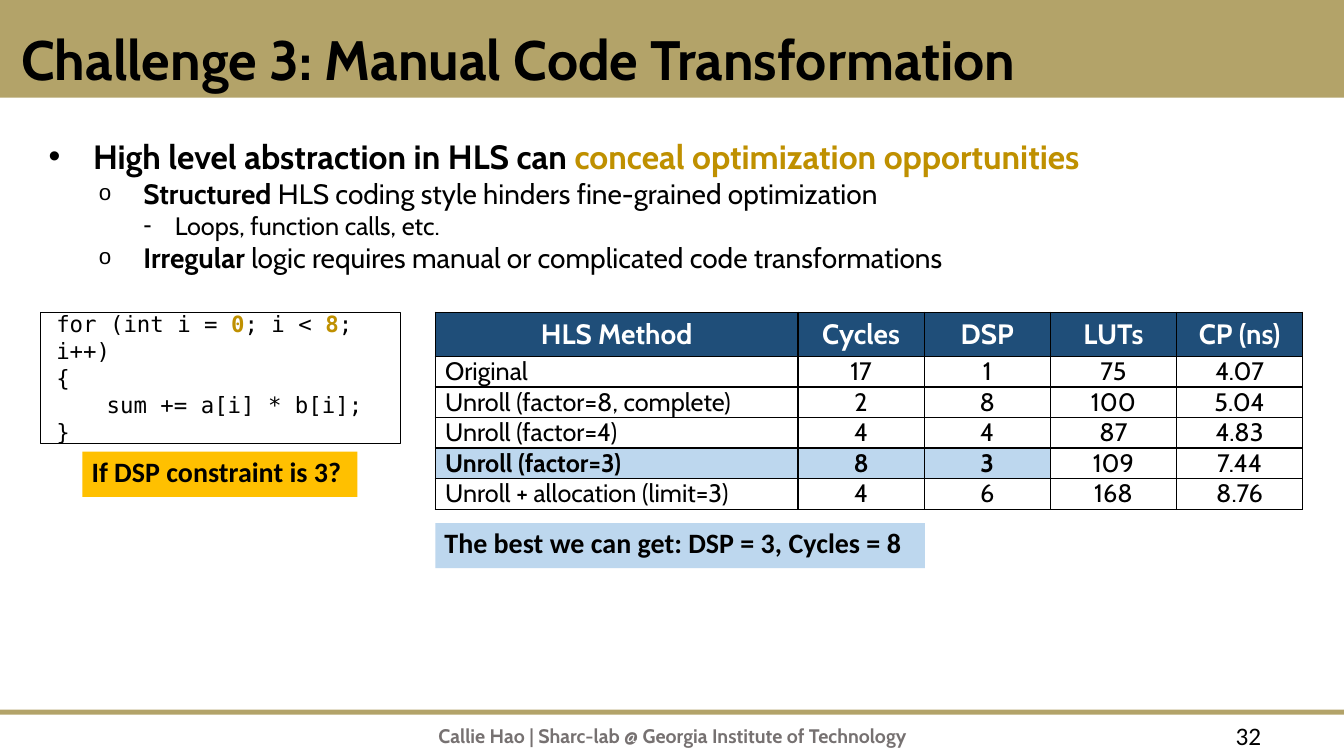
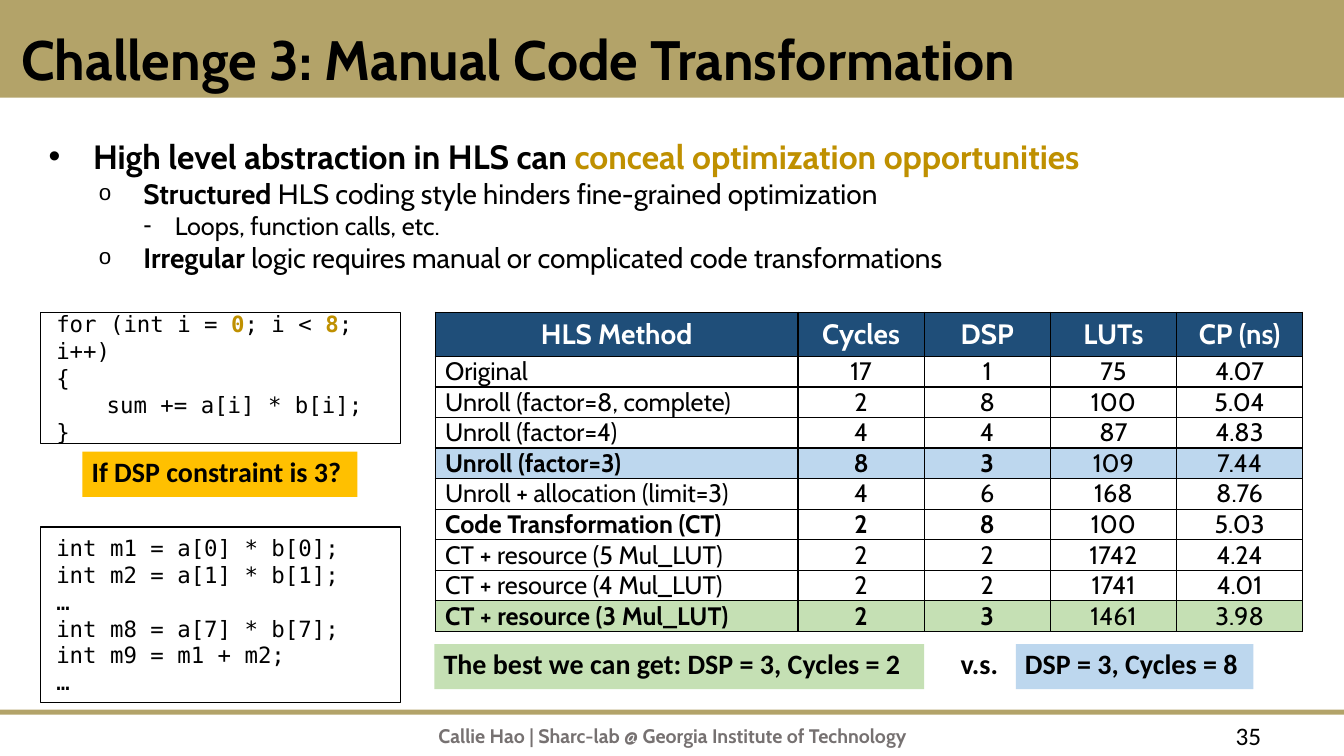
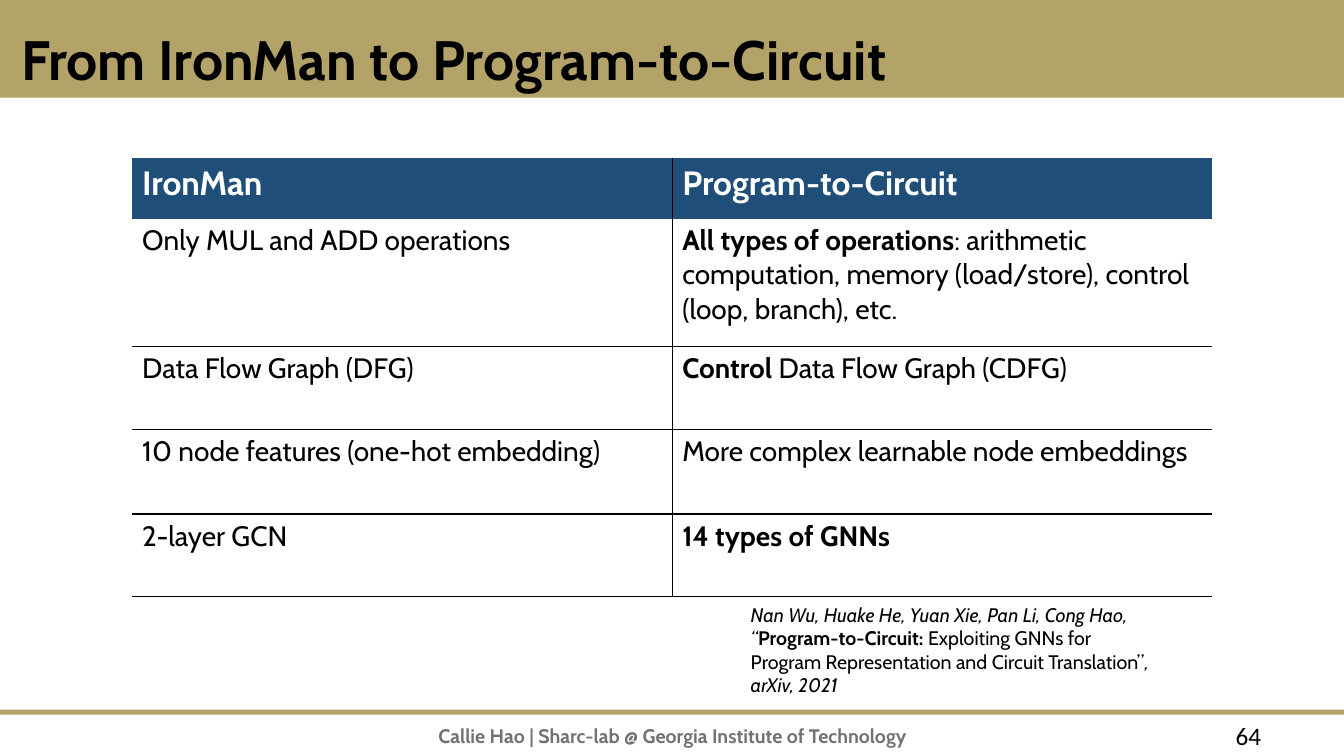
from lxml import etree
from pptx import Presentation
from pptx.dml.color import RGBColor
from pptx.enum import shapes, text
from pptx.oxml import ns
from pptx.util import Cm, Pt

GOLD = RGBColor(0xB3, 0xA3, 0x69)
DARK = RGBColor(0xBF, 0x90, 0x00)
AMBER = RGBColor(0xFF, 0xC0, 0x00)
NAVY = RGBColor(0x1F, 0x4E, 0x79)
BLUE = RGBColor(0xBD, 0xD7, 0xEE)
GREEN = RGBColor(0xC5, 0xE0, 0xB4)
GREY = RGBColor(0x76, 0x71, 0x71)
BLACK = RGBColor(0, 0, 0)
WHITE = RGBColor(0xFF, 0xFF, 0xFF)
CABIN, PLAIN, MONO = "Cabin", "Calibri", "DejaVu Sans Mono"
LEFT, MID = text.PP_ALIGN.LEFT, text.PP_ALIGN.CENTER
BARE = "{2D5ABB26-0587-4C30-8999-92F81FD0307C}"


def write(par, words, size, face=CABIN, bold=False, ink=BLACK, mark=None, align=LEFT):
    par.alignment = align
    par.font.name, par.font.size, par.font.bold = face, Pt(size), bold
    par.font.color.rgb = ink
    for i, part in enumerate(words.split("**")):
        if part:
            run = par.add_run()
            run.text = part
            if i % 2:
                run.font.bold = True
                if mark:
                    run.font.color.rgb = mark


def box(page, place, fill=None, line=None):
    spot = [Cm(v) for v in place]
    if fill is None and line is None:
        item = page.shapes.add_textbox(*spot)
    else:
        item = page.shapes.add_shape(shapes.MSO_SHAPE.RECTANGLE, *spot)
        item.shadow.inherit = False
        if fill is None:
            item.fill.background()
        else:
            item.fill.solid()
            item.fill.fore_color.rgb = fill
        if line is None:
            item.line.fill.background()
        else:
            item.line.color.rgb = line
            item.line.width = Pt(1)
    item.text_frame.word_wrap = True
    return item


deck = Presentation()
deck.slide_width, deck.slide_height = Cm(33.87), Cm(19.05)

CODE = "Challenge 3: Manual Code Transformation"
pages = []
for name, num, kind in [
    (CODE, "32", 1),
    (CODE, "35", 1),
    ("From IronMan to Program-to-Circuit", "64", 5),
]:
    page = deck.slides.add_slide(deck.slide_layouts[kind])
    pages.append(page)
    head = page.shapes.title
    head.left, head.top, head.width, head.height = Cm(0.28), Cm(0.71), Cm(31.45), Cm(1.73)
    head.text_frame.auto_size = text.MSO_AUTO_SIZE.NONE
    head.text_frame.vertical_anchor = text.MSO_ANCHOR.MIDDLE
    par = head.text_frame.paragraphs[0]
    par.line_spacing = 0.9
    write(par, name, 39.6, bold=True)
    foot = box(page, (30.89, 18.03, 1.98, 0.84))
    write(foot.text_frame.paragraphs[0], num, 18, PLAIN)

first = pages[0]
rule = box(first, (0, 17.88, 33.87, 0.13), GOLD)
band = box(first, (0, 0, 33.87, 2.46), GOLD)
credit = box(first, (10.8, 18.11, 12.98, 0.84))
write(credit.text_frame.paragraphs[0],
      "Callie Hao | Sharc-lab @ Georgia Institute of Technology", 14, bold=True, ink=GREY)
tree = deck.slide_master.shapes.element
for i, item in enumerate([rule, band, credit]):
    item.element.xpath(".//p:cNvPr")[0].set("id", str(100 + i))
    tree.insert(2 + i, item.element)

points = [
    (0, "•", 1.12, 1.12, 24, True, "High level abstraction in HLS can **conceal optimization opportunities**"),
    (1, "o", 2.39, 1.12, 20, False, "**Structured **HLS coding style hinders fine-grained optimization"),
    (2, "‐", 3.18, 0.79, 18, False, "Loops, function calls, etc."),
    (1, "o", 2.39, 1.12, 20, False, "**Irregular** logic requires manual or complicated code transformations"),
]
for page in pages[:2]:
    body = page.placeholders[1]
    body.left, body.top, body.width, body.height = Cm(0.97), Cm(3.4), Cm(31.9), Cm(5.16)
    frame = body.text_frame
    frame.auto_size = text.MSO_AUTO_SIZE.NONE
    for i, (level, sign, left, hang, size, bold, words) in enumerate(points):
        par = frame.add_paragraph() if i else frame.paragraphs[0]
        par.level = level
        props = par._p.get_or_add_pPr()
        props.set("marL", str(Cm(left)))
        props.set("indent", str(-Cm(hang)))
        if sign == "o":
            etree.SubElement(props, ns.qn("a:buSzPct")).set("val", "80000")
        etree.SubElement(props, ns.qn("a:buChar")).set("char", sign)
        par.space_before = Pt(0)
        par.line_spacing = 1.0 if level else 0.9
        write(par, words, size, bold=bold, mark=None if level else DARK)

loop = ["for (int i = **0**; i < **8**; i++)", "{", "\tsum += a[i] * b[i];", "}"]
flat = ["int m1 = a[0] * b[0];", "int m2 = a[1] * b[1];", "…",
        "int m8 = a[7] * b[7];", "int m9 = m1 + m2;", "…"]
for page, top, high, lines in [
    (pages[0], 7.87, 3.3, loop),
    (pages[1], 7.87, 3.3, loop),
    (pages[1], 13.28, 4.42, flat),
]:
    frame = box(page, (1.02, top, 9.07, high), line=BLACK).text_frame
    frame.vertical_anchor = text.MSO_ANCHOR.MIDDLE
    frame.margin_left = frame.margin_right = frame.margin_top = frame.margin_bottom = Cm(0.25)
    for i, words in enumerate(lines):
        par = frame.add_paragraph() if i else frame.paragraphs[0]
        props = par._p.get_or_add_pPr()
        props.set("marL", str(Cm(0.15)))
        props.set("indent", "0")
        if words.startswith("\t"):
            tabs = etree.SubElement(props, ns.qn("a:tabLst"))
            etree.SubElement(tabs, ns.qn("a:tab"), pos=str(Cm(1.27)), algn="l")
        write(par, words, 16, MONO, mark=DARK)

for page, left, top, wide, fill, words in [
    (pages[0], 2.08, 11.38, 6.93, AMBER, "If DSP constraint is 3?"),
    (pages[0], 10.97, 13.18, 12.34, BLUE, "The best we can get: DSP = 3, Cycles = 8"),
    (pages[1], 2.08, 11.38, 6.93, AMBER, "If DSP constraint is 3?"),
    (pages[1], 10.95, 16.23, 12.34, GREEN, "The best we can get: DSP = 3, Cycles = 2"),
    (pages[1], 25.6, 16.23, 5.99, BLUE, "DSP = 3, Cycles = 8"),
    (pages[1], 23.98, 16.23, 1.65, None, "v.s."),
]:
    frame = box(page, (left, top, wide, 1.14), fill).text_frame
    frame.vertical_anchor = text.MSO_ANCHOR.TOP
    frame.margin_left = frame.margin_right = frame.margin_top = frame.margin_bottom = Cm(0.23)
    par = frame.paragraphs[0]
    par.line_spacing = 0.8
    write(par, words, 20, PLAIN, bold=True)

runs = [
    ("HLS Method", "Cycles", "DSP", "LUTs", "CP (ns)"),
    ("Original", "17", "1", "75", "4.07"),
    ("Unroll (factor=8, complete)", "2", "8", "100", "5.04"),
    ("Unroll (factor=4)", "4", "4", "87", "4.83"),
    ("**Unroll (factor=3)**", "**8**", "**3**", "109", "7.44"),
    ("Unroll + allocation (limit=3)", "4", "6", "168", "8.76"),
    ("**Code Transformation (CT)**", "**2**", "**8**", "100", "5.03"),
    ("CT + resource (5 Mul_LUT)", "2", "2", "1742", "4.24"),
    ("CT + resource (4 Mul_LUT)", "2", "2", "1741", "4.01"),
    ("**CT + resource (3 Mul_LUT)**", "**2**", "**3**", "1461", "3.98"),
]
works = [
    ("IronMan", "Program-to-Circuit"),
    ("Only MUL and ADD operations",
     "**All types of operations**: arithmetic computation, memory (load/store), control (loop, branch), etc."),
    ("Data Flow Graph (DFG)", "**Control** Data Flow Graph (CDFG)"),
    ("10 node features (one-hot embedding)", "More complex learnable node embeddings"),
    ("2-layer GCN", "**14 types of GNNs**"),
]
wides = [9.14] + [3.18] * 4
for page, left, top, cols, highs, rows, tints, sizes, full in [
    (pages[0], 10.97, 7.87, wides, [1.11] + [0.77] * 5, runs[:6], {4: (BLUE, 3)}, (20, 18), True),
    (pages[1], 10.97, 7.87, wides, [1.11] + [0.77] * 9, runs, {4: (BLUE, 5), 9: (GREEN, 5)}, (20, 18), True),
    (pages[2], 3.33, 3.99, [13.61] * 2, [1.52, 3.23, 2.08, 2.13, 2.08], works, {}, (24, 20), False),
]:
    tints = {0: (NAVY, len(cols)), **tints}
    grid = page.shapes.add_table(len(rows), len(cols), Cm(left), Cm(top), Cm(sum(cols)), Cm(sum(highs)))
    grid.element.xpath(".//a:tableStyleId")[0].text = BARE
    table = grid.table
    table.first_row = table.horz_banding = False
    for col, wide in zip(table.columns, cols):
        col.width = Cm(wide)
    for r, row in enumerate(rows):
        table.rows[r].height = Cm(highs[r])
        tint, span = tints.get(r, (None, 0))
        for c, words in enumerate(row):
            cell = table.cell(r, c)
            if full and r:
                cell.margin_top = cell.margin_bottom = 0
                cell.margin_left = cell.margin_right = Cm(0.25)
            sides = "LRTB" if full else "RL"[c] + "T" * (r > 1) + "B" * (r > 0)
            props = cell._tc.get_or_add_tcPr()
            for side in "LRTB":
                if side in sides:
                    edge = etree.SubElement(props, ns.qn("a:ln" + side), w=str(Pt(1)))
                    solid = etree.SubElement(edge, ns.qn("a:solidFill"))
                    etree.SubElement(solid, ns.qn("a:srgbClr"), val=str(BLACK))
            if c < span:
                cell.fill.solid()
                cell.fill.fore_color.rgb = tint
            else:
                cell.fill.background()
            write(cell.text_frame.paragraphs[0], words, sizes[r > 0], bold=r == 0,
                  ink=BLACK if r else WHITE, align=MID if full and (c or r == 0) else LEFT)

par = box(pages[2], (17.4, 15.06, 12.22, 2.06)).text_frame.paragraphs[0]
props = par._p.get_or_add_pPr()
props.set("marL", str(Cm(1.27)))
props.set("indent", "0")
par.font.name, par.font.size = CABIN, Pt(14)
par.font.color.rgb = BLACK
for words, bold, slant in [
    ("Nan Wu, Huake He, Yuan Xie, Pan Li, Cong Hao, “", False, True),
    ("Program-to-Circuit:", True, False),
    (" Exploiting GNNs for Program Representation and Circuit Translation”", False, False),
    (", arXiv, 2021", False, True),
]:
    run = par.add_run()
    run.text = words
    run.font.bold, run.font.italic = bold, slant

deck.save("out.pptx")
